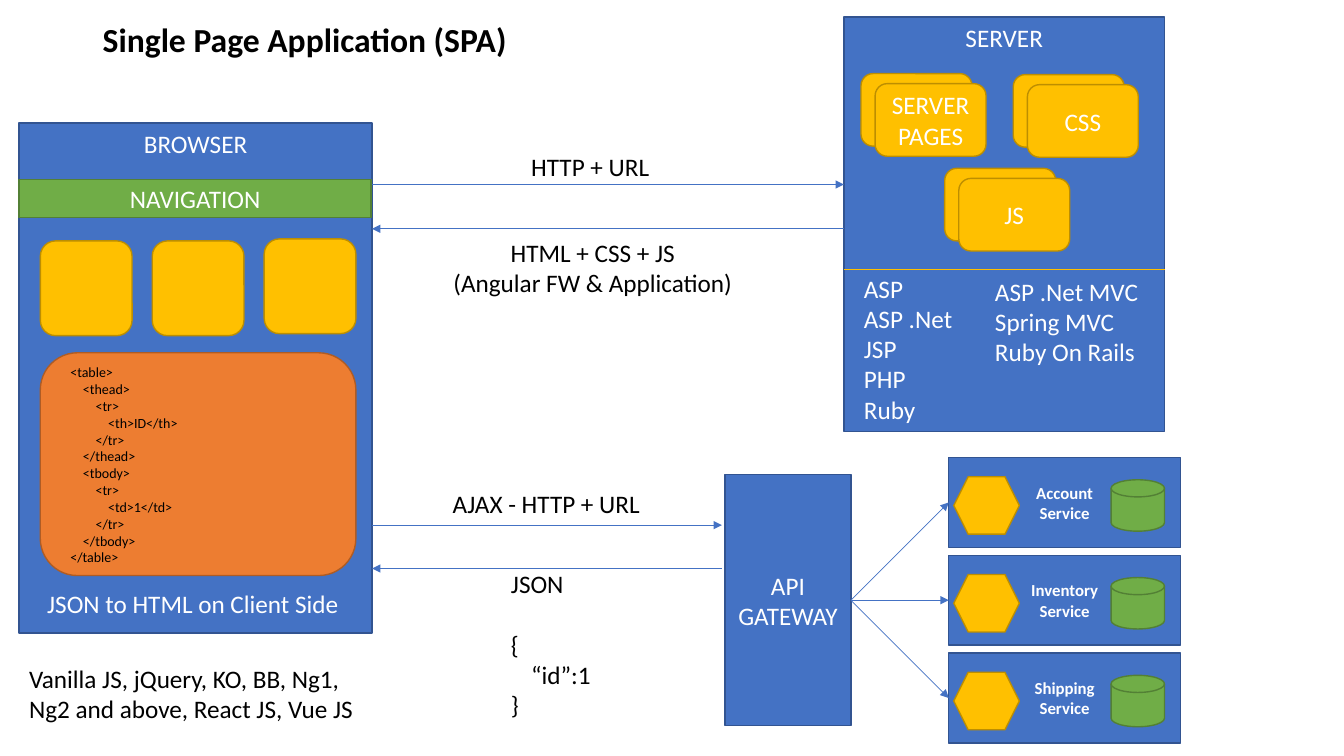
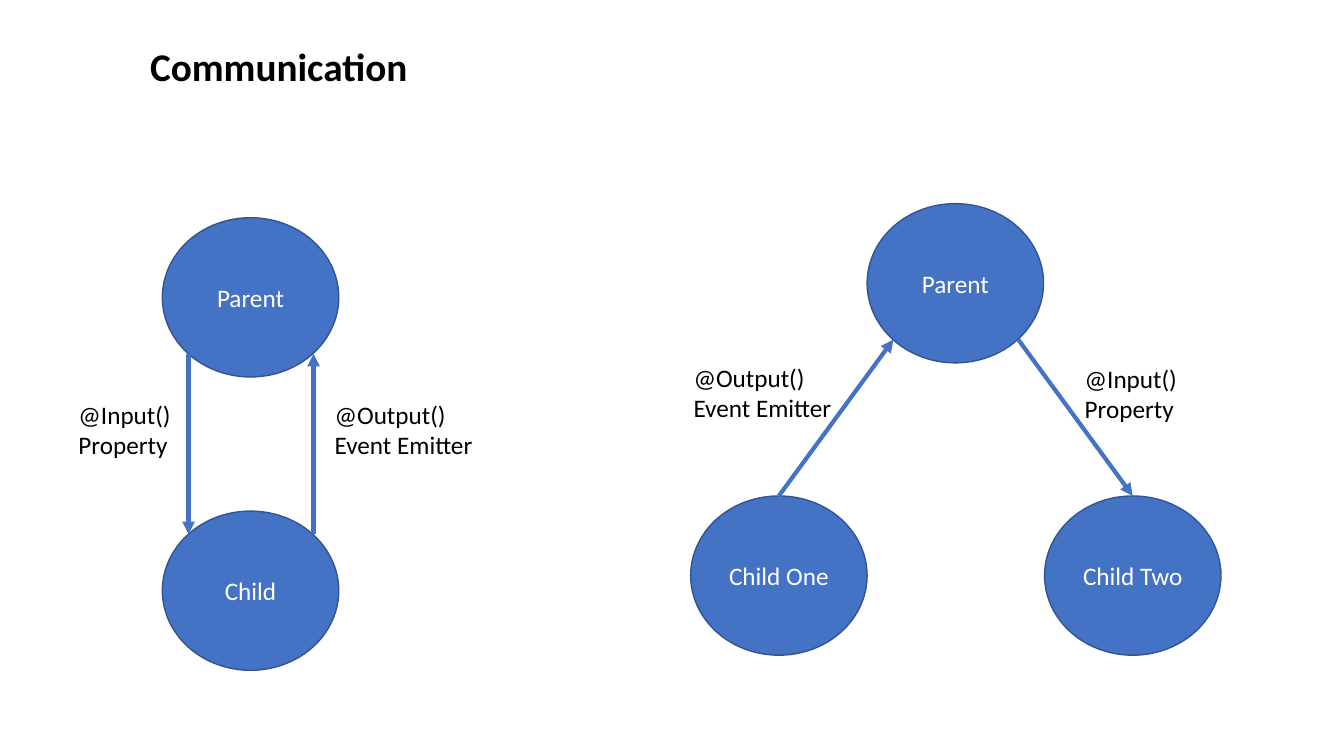
from lxml import etree
from pptx import Presentation
from pptx.dml.color import RGBColor
from pptx.enum.shapes import MSO_CONNECTOR, MSO_SHAPE
from pptx.enum.text import MSO_ANCHOR, PP_ALIGN
from pptx.oxml.ns import qn
from pptx.util import Inches, Pt

RECT, ROUNDED = MSO_SHAPE.RECTANGLE, MSO_SHAPE.ROUNDED_RECTANGLE
HEXAGON, OVAL = MSO_SHAPE.HEXAGON, MSO_SHAPE.OVAL
DISK = MSO_SHAPE.FLOWCHART_MAGNETIC_DISK
TOP, MIDDLE = MSO_ANCHOR.TOP, MSO_ANCHOR.MIDDLE
LEFT, CENTER = PP_ALIGN.LEFT, PP_ALIGN.CENTER
STRAIGHT = MSO_CONNECTOR.STRAIGHT

FONT = "Calibri"
COLORS = {
    "blue": "4472C4", "blue_edge": "325491",
    "gold": "FFC000", "gold_edge": "BD8E00",
    "green": "70AD47", "green_edge": "538035",
    "orange": "ED7D31", "orange_edge": "AF5C24",
    "white": "FFFFFF", "black": "000000",
}

# Content, slide 1: boxes are (left, top, width, height) in inches
SERVER_BOX = (8.37, 0.17, 3.18, 4.11)
SERVER_LISTS = [
    (["ASP", "ASP .Net", "JSP", "PHP", "Ruby"], (8.47, 2.66, 1.09, 1.62), False),
    (["ASP .Net MVC", "Spring MVC", "Ruby On Rails"], (9.77, 2.69, 1.78, 1.01), True),
]
SERVER_FILES = [("SERVER PAGES", 8.54, 0.73), ("CSS", 10.05, 0.74), ("JS", 9.37, 1.67)]
FILE_SIZE = (1.1, 0.72)
FILE_OFFSET = (0.14, 0.1)

BROWSER_BOX = (0.19, 1.22, 3.5, 5.06)
NAVIGATION_BOX = (0.19, 1.78, 3.49, 0.38)
TILE_TOPS = [2.39, 2.39, 2.37]
TILE_LEFT, TILE_PITCH = 0.4, 1.11
TEMPLATE_BOX = (0.4, 3.5, 3.13, 2.21)
TEMPLATE_CODE = """<table>
    <thead>
        <tr>
            <th>ID</th>
        </tr>
    </thead>
    <tbody>
        <tr>
            <td>1</td>
        </tr>
    </tbody>
</table>""".split("\n")

MESSAGES = [  # start, end
    ((3.69, 1.83), (8.37, 1.83)),
    ((8.37, 2.27), (3.69, 2.27)),
    ((3.69, 5.21), (7.16, 5.21)),
    ((7.16, 5.64), (3.69, 5.64)),
]
MESSAGE_LABELS = [
    (["HTTP + URL"], (5.17, 1.45, 1.39, 0.4), LEFT),
    (["HTML + CSS + JS", "(Angular FW & Application)"], (4.38, 2.3, 3, 0.71), CENTER),
    (["AJAX - HTTP + URL"], (4.39, 4.8, 2.08, 0.4), LEFT),
    (["Vanilla JS, jQuery, KO, BB, Ng1,", "Ng2 and above, React JS, Vue JS"],
     (0.19, 6.53, 3.46, 0.71), LEFT),
]
JSON_REPLY = ["JSON", "{", "“id”:1", "}"]

GATEWAY_BOX = (7.19, 4.71, 1.25, 2.49)
SERVICES = ["Account", "Inventory", "Shipping"]
SERVICE_LEFT, SERVICE_TOP, SERVICE_PITCH = 9.41, 4.54, 0.97

# Content, slide 2
NODE_SIZE = (1.75, 1.58)
NODES = {
    "pair parent": ("Parent", 1.61, 2.16),
    "pair child": ("Child", 1.61, 5.07),
    "tree parent": ("Parent", 8.6, 2.02),
    "child one": ("Child One", 6.85, 4.92),
    "child two": ("Child Two", 10.36, 4.92),
}
FLOWS = [  # start, end, node joined at its top by start, by end
    ((1.87, 3.51), (1.87, 5.3), None, None),
    ((3.11, 5.3), (3.11, 3.51), None, None),
    ((7.73, 4.92), (8.86, 3.37), "child one", None),
    ((10.1, 3.37), (11.24, 4.92), None, "child two"),
]
INPUT = (["@Input()", "Property"], 1.13)
OUTPUT = (["@Output()", "Event Emitter"], 1.59)
FLOW_LABELS = [(INPUT, 0.68, 3.91), (OUTPUT, 3.22, 3.91),
               (OUTPUT, 6.78, 3.54), (INPUT, 10.66, 3.55)]


def rgb(name):
    return RGBColor.from_string(COLORS[name])


def write(frame, lines, size, color, align, bold=False):
    frame.text = "\n".join(lines)
    for paragraph in frame.paragraphs:
        paragraph.alignment = align
        font = paragraph.font
        font.name, font.size, font.bold = FONT, Pt(size), bold
        font.color.rgb = rgb(color)


def add_label(slide, lines, box, size=18, color="black", align=LEFT, bold=False, wrap=False):
    frame = slide.shapes.add_textbox(*map(Inches, box)).text_frame
    frame.word_wrap = wrap
    write(frame, lines, size, color, align, bold)
    return frame


def add_title(slide, text, box, size):
    add_label(slide, [text], box, size, bold=True)


def add_block(slide, kind, box, color, lines=(), anchor=MIDDLE, size=18, bold=False):
    block = slide.shapes.add_shape(kind, *map(Inches, box))
    block.shadow.inherit = False
    block.fill.solid()
    block.fill.fore_color.rgb = rgb(color)
    block.line.color.rgb = rgb(color + "_edge")
    block.line.width = Pt(1)
    if lines:
        block.text_frame.vertical_anchor = anchor
        write(block.text_frame, lines, size, "white", CENTER, bold)
    return block


def add_line(slide, start, end, color="blue", width=0.5, arrow=True):
    connector = slide.shapes.add_connector(STRAIGHT, *map(Inches, start + end))
    connector.line.color.rgb = rgb(color)
    connector.line.width = Pt(width)
    if arrow:
        etree.SubElement(connector.get_or_add_ln(), qn("a:tailEnd"), type="triangle")
    etree.SubElement(connector._element.spPr, qn("a:effectLst"))
    return connector


def draw_server(slide):
    add_block(slide, RECT, SERVER_BOX, "blue", ["SERVER"], TOP)
    for lines, box, wrap in SERVER_LISTS:
        add_label(slide, lines, box, color="white", wrap=wrap)
    for name, left, top in SERVER_FILES:
        add_block(slide, ROUNDED, (left, top) + FILE_SIZE, "gold")
        front = (left + FILE_OFFSET[0], top + FILE_OFFSET[1])
        add_block(slide, ROUNDED, front + FILE_SIZE, "gold", [name])
    add_line(slide, (8.37, 2.67), (11.55, 2.67), "gold", arrow=False)


def draw_browser(slide):
    add_block(slide, RECT, BROWSER_BOX, "blue", ["BROWSER"], TOP)
    add_block(slide, RECT, NAVIGATION_BOX, "green", ["NAVIGATION"])
    for i, top in enumerate(TILE_TOPS):
        add_block(slide, ROUNDED, (TILE_LEFT + i * TILE_PITCH, top, 0.91, 0.94), "gold")
    add_block(slide, ROUNDED, TEMPLATE_BOX, "orange")
    add_label(slide, TEMPLATE_CODE, (0.6, 3.56, 2.44, 2.12), size=10, wrap=True)
    add_label(slide, ["JSON to HTML on Client Side"], (0.37, 5.79, 3.13, 0.4), color="white")


def draw_messages(slide):
    for start, end in MESSAGES:
        add_line(slide, start, end)
    for lines, box, align in MESSAGE_LABELS:
        add_label(slide, lines, box, align=align)
    reply = add_label(slide, JSON_REPLY, (4.97, 5.59, 1, 1.62)).paragraphs
    reply[1].space_before = Pt(21.6)
    reply[2]._p.get_or_add_pPr().set("marL", str(Inches(0.2)))


def draw_services(slide):
    gateway = add_block(slide, RECT, GATEWAY_BOX, "blue", ["API GATEWAY"])
    for i, name in enumerate(SERVICES):
        top = SERVICE_TOP + i * SERVICE_PITCH
        service = add_block(slide, RECT, (SERVICE_LEFT, top, 2.3, 0.89), "blue",
                            [name, "Service"], size=12, bold=True)
        add_block(slide, HEXAGON, (SERVICE_LEFT + 0.05, top + 0.19, 0.65, 0.57), "gold")
        add_block(slide, DISK, (SERVICE_LEFT + 1.61, top + 0.22, 0.53, 0.51), "green")
        route = add_line(slide, (8.44, 5.95), (SERVICE_LEFT, top + 0.45))
        route.begin_connect(gateway, 3)
        route.end_connect(service, 1)


def draw_communication(slide):
    add_title(slide, "Communication", (1.39, 0.37, 2.78, 0.57), 28)
    nodes = {key: add_block(slide, OVAL, (left, top) + NODE_SIZE, "blue", [name])
             for key, (name, left, top) in NODES.items()}
    for start, end, source, target in FLOWS:
        flow = add_line(slide, start, end, width=3)
        if source:
            flow.begin_connect(nodes[source], 0)
        if target:
            flow.end_connect(nodes[target], 0)
    for (lines, width), left, top in FLOW_LABELS:
        add_label(slide, lines, (left, top, width, 0.71))


def main():
    deck = Presentation()
    deck.slide_width, deck.slide_height = Inches(13.33), Inches(7.5)
    blank = deck.slide_layouts[6]

    application = deck.slides.add_slide(blank)
    add_title(application, "Single Page Application (SPA)", (0.92, 0.14, 4.25, 0.5), 24)
    for draw in (draw_server, draw_browser, draw_messages, draw_services):
        draw(application)

    draw_communication(deck.slides.add_slide(blank))
    deck.save("out.pptx")


if __name__ == "__main__":
    main()
